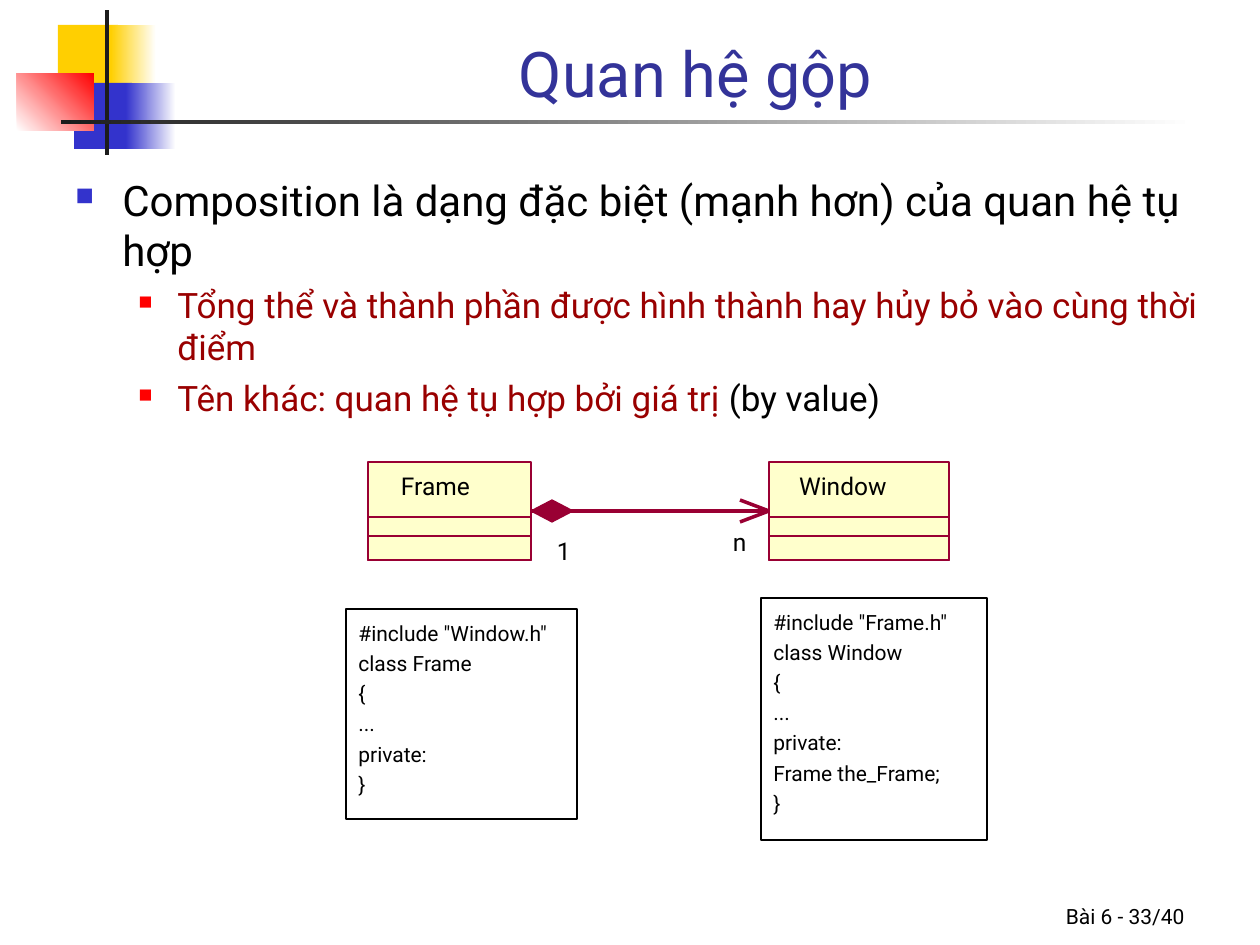
from lxml import etree
from pptx import Presentation, util as u
from pptx.dml.color import RGBColor
from pptx.enum import shapes as es, text as et
from pptx.oxml.ns import qn

PX = 914400 // 126
FONT = "Roboto"
HUE = dict(gold="FFCF01", blue="3333CC", red="FF0000", dark="1C1C1C",
           white="FFFFFF", black="000000", title="333399", brick="990000",
           wine="990033", cream="FFFFCC")

# box, start colour, end colour (None for a plain fill), angle
DECOR = [
    ((58, 25, 60, 66), "gold", None, 0),
    ((111, 25, 45, 66), "gold", "white", 0),
    ((74, 83, 58, 66), "blue", None, 0),
    ((126, 83, 50, 66), "blue", "white", 0),
    ((17, 73, 77, 58), "white", "red", 45),
    ((105, 10, 4, 145), "dark", None, 0),
    ((61, 120, 1134, 4), "dark", "white", 0),
]
TITLE = "Quan hệ gộp"
FOOT = "Bài 6 - 33/40"
# level, runs of (text, colour)
BODY = [
    (0, [("Composition là dạng đặc biệt (mạnh hơn) của quan hệ tụ hợp", "black")]),
    (1, [("Tổng thể và thành phần được hình thành hay hủy bỏ vào cùng thời điểm", "brick")]),
    (1, [("Tên khác: quan hệ tụ hợp bởi giá trị ", "brick"), ("(by value)", "black")]),
]
# margin px, indent px, size, space before, bullet colour, bullet percent
LEVELS = [(47, -47, 24, 6, "blue", 60), (102, -39, 20, 5, "red", 55)]
# name, left, width, name box
CLASSES = [("Frame", 368, 163, (401, 471, 73, 29)),
           ("Window", 769, 180, (799, 471, 93, 29))]
TOP, HIGH, SPLITS = 462, 98, (55, 74)
ENDS = [("n", (733, 527, 15, 29)), ("1", (557, 536, 14, 29))]
CODE = [
    ((346, 609, 231, 210),
     ['#include "Window.h"', "class Frame", "{", "...", "private:", "}"]),
    ((761, 598, 226, 242),
     ['#include "Frame.h"', "class Window", "{", "...", "private:",
      "Frame the_Frame;", "}"]),
]

deck = Presentation()
deck.slide_width, deck.slide_height = 1260 * PX, 945 * PX
slide = deck.slides.add_slide(deck.slide_layouts[6])
parts = slide.shapes


def emu(box):
    return [n * PX for n in box]


def rgb(name):
    return RGBColor.from_string(HUE[name])


def style(font, size, hue):
    font.name, font.size = FONT, u.Pt(size)
    font.color.rgb = rgb(hue)


def rect(box, fill=None, line=None, width=0):
    shape = parts.add_shape(es.MSO_SHAPE.RECTANGLE, *emu(box))
    paint(shape, fill, line, width)
    return shape


def paint(shape, fill, line, width=0):
    shape.shadow.inherit = False
    if fill:
        shape.fill.solid()
        shape.fill.fore_color.rgb = rgb(fill)
    else:
        shape.fill.background()
    if line:
        shape.line.color.rgb = rgb(line)
        shape.line.width = u.Pt(width)
    else:
        shape.line.fill.background()


def fade(shape, start, end, angle):
    shape.fill.gradient()
    shape.fill.gradient_angle = angle
    for stop, hue in zip(shape.fill.gradient_stops, (start, end)):
        stop.color.rgb = rgb(hue)


def label(box, words, size, hue="black", align="LEFT", anchor="BOTTOM"):
    frame = parts.add_textbox(*emu(box)).text_frame
    frame.word_wrap = True
    frame.vertical_anchor = et.MSO_ANCHOR[anchor]
    para = frame.paragraphs[0]
    para.text, para.alignment = words, et.PP_ALIGN[align]
    style(para.font, size, hue)
    return frame


def tag(box, words):
    """Add a tight, unwrapped label of the class diagram."""
    frame = label(box, words, 14, anchor="TOP")
    frame.margin_left = frame.margin_right = 0
    frame.margin_top = frame.margin_bottom = 0
    frame.word_wrap = False
    frame.auto_size = et.MSO_AUTO_SIZE.SHAPE_TO_FIT_TEXT


def wire(start, end):
    line = parts.add_connector(es.MSO_CONNECTOR.STRAIGHT, *emu(start + end))
    line.line.color.rgb = rgb("wine")
    line.line.width = u.Pt(0)
    etree.SubElement(line._element.spPr, qn("a:effectLst"))
    return line


def bullet(para, level):
    margin, indent, size, before, hue, pct = LEVELS[level]
    props = para._p.get_or_add_pPr()
    props.set("marL", str(margin * PX))
    props.set("indent", str(indent * PX))
    para.level, para.space_before = level, u.Pt(before)
    tint = etree.SubElement(props, qn("a:buClr"))
    etree.SubElement(tint, qn("a:srgbClr"), val=HUE[hue])
    etree.SubElement(props, qn("a:buSzPct"), val=str(pct * 1000))
    etree.SubElement(props, qn("a:buChar"), char="■")
    para.font.name, para.font.size = FONT, u.Pt(size)


for box, start, end, angle in DECOR:
    block = rect(box, start)
    if end:
        fade(block, start, end, angle)

label((935, 872, 262, 63), FOOT, 12, align="RIGHT")
label((159, 10, 1073, 106), TITLE, 36, "title", "CENTER")

body = parts.add_textbox(*emu((63, 168, 1171, 693))).text_frame
body.word_wrap = True
for i, (level, runs) in enumerate(BODY):
    para = body.add_paragraph() if i else body.paragraphs[0]
    bullet(para, level)
    if not i:
        para.space_before = u.Pt(0)
    for words, hue in runs:
        run = para.add_run()
        run.text = words
        run.font.color.rgb = rgb(hue)

boxes = []
for name, left, wide, spot in CLASSES:
    boxes.append(rect((left, TOP, wide, HIGH), "cream", "wine"))
    tag(spot, name)
    for drop in SPLITS:
        rect((left, TOP + drop, wide, HIGH - drop), line="wine")

whole, part = boxes
mid = TOP + HIGH // 2
near, far = CLASSES[0][1] + CLASSES[0][2], CLASSES[1][1]
half = ((near + far) // 2, mid)
wire(half, (far, mid)).end_connect(part, 1)
wire(half, (near, mid)).end_connect(whole, 3)
for rise in (11, -11):
    wire((far, mid), (far - 29, mid + rise))

pen = parts.build_freeform(near, mid, scale=PX)
pen.add_line_segments([(near + 21, mid + 11), (near + 42, mid),
                       (near + 21, mid - 11)], close=True)
paint(pen.convert_to_shape(), "wine", "wine")
for words, spot in ENDS:
    tag(spot, words)

for box, lines in CODE:
    frame = rect(box, "white", "black", 0.75).text_frame
    frame.vertical_anchor = et.MSO_ANCHOR.TOP
    frame.text = "\n".join(lines)
    for para in frame.paragraphs:
        para.alignment, para.line_spacing = et.PP_ALIGN.LEFT, 1.2
        style(para.font, 12, "black")

deck.save("out.pptx")
